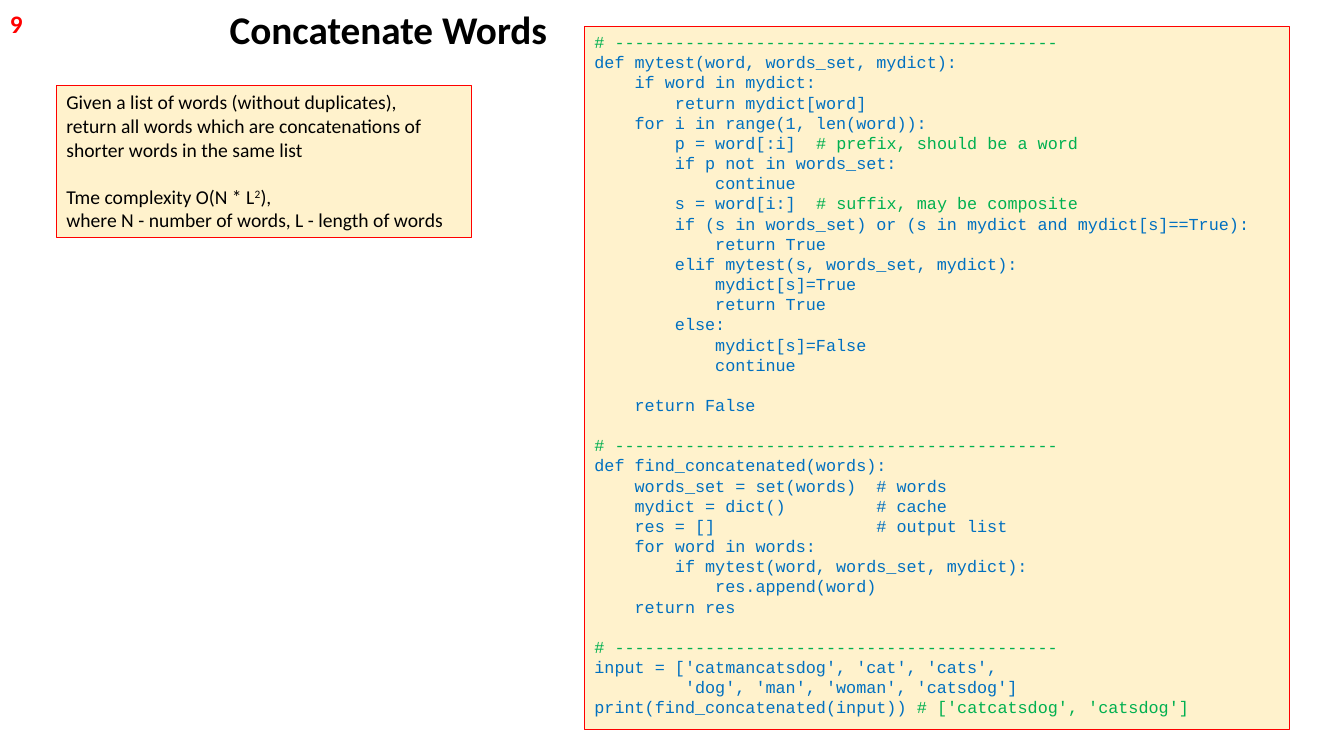
import pptx
import pptx.dml.color
import pptx.enum.shapes
import pptx.enum.text
import pptx.util

Pt = pptx.util.Pt
COLORS = {
    "black": "000000",
    "red": "FF0000",
    "panel": "FFF2CC",
    "code": "0070C0",
    "comment": "00B050",
}
RULE = "|# " + "-" * 44

# A bar starts a green comment; an empty line becomes space before the next one.
CODE = f"""{RULE}
def mytest(word, words_set, mydict):
    if word in mydict:
        return mydict[word]
    for i in range(1, len(word)):
        p = word[:i]  |# prefix, should be a word
        if p not in words_set:
            continue
        s = word[i:]  |# suffix, may be composite
        if (s in words_set) or (s in mydict and mydict[s]==True):
            return True
        elif mytest(s, words_set, mydict):
            mydict[s]=True
            return True
        else:
            mydict[s]=False
            continue

    return False

{RULE}
def find_concatenated(words):
    words_set = set(words)  # words
    mydict = dict()         # cache
    res = []                # output list
    for word in words:
        if mytest(word, words_set, mydict):
            res.append(word)
    return res

{RULE}
input = ['catmancatsdog', 'cat', 'cats',
         'dog', 'man', 'woman', 'catsdog']
print(find_concatenated(input)) |# ['catcatsdog', 'catsdog']"""

# A bar encloses a superscript.
NOTE = """Given a list of words (without duplicates),
return all words which are concatenations of
shorter words in the same list

Tme complexity O(N * L|2|),
where N - number of words, L - length of words"""


def rgb(name):
    return pptx.dml.color.RGBColor.from_string(COLORS[name])


def set_font(paragraph, name, size, color, bold=False):
    paragraph.font.name = name
    paragraph.font.size = Pt(size)
    paragraph.font.bold = bold
    paragraph.font.color.rgb = rgb(color)


def add_label(slide, box, text, size, color, wrap):
    """Bold single-line heading text."""
    shape = slide.shapes.add_textbox(*map(Pt, box))
    shape.text_frame.word_wrap = wrap
    paragraph = shape.text_frame.paragraphs[0]
    paragraph.text = text
    set_font(paragraph, "Calibri", size, color, bold=True)


def add_panel(slide, box, text, font, size, color, pitch, style_marked):
    """Framed panel; style_marked formats each run that follows an odd bar."""
    shape = slide.shapes.add_shape(
        pptx.enum.shapes.MSO_SHAPE.RECTANGLE, *map(Pt, box))
    shape.shadow.inherit = False
    shape.fill.solid()
    shape.fill.fore_color.rgb = rgb("panel")
    shape.line.color.rgb = rgb("red")
    shape.line.width = Pt(0.75)

    frame = shape.text_frame
    frame.word_wrap = True
    frame.vertical_anchor = pptx.enum.text.MSO_ANCHOR.TOP
    paragraph = frame.paragraphs[0]
    gap = 0
    for index, line in enumerate(text.split("\n")):
        if not line:
            gap += pitch
            continue
        if index:
            paragraph = frame.add_paragraph()
        paragraph.alignment = pptx.enum.text.PP_ALIGN.LEFT
        paragraph.line_spacing = Pt(pitch)
        paragraph.space_before = Pt(gap)
        gap = 0
        set_font(paragraph, font, size, color)
        for position, part in enumerate(line.split("|")):
            if part:
                run = paragraph.add_run()
                run.text = part
                if position % 2:
                    style_marked(run)


def color_comment(run):
    run.font.color.rgb = rgb("comment")


def raise_text(run):
    run._r.get_or_add_rPr().set("baseline", "30000")


def main():
    presentation = pptx.Presentation()
    presentation.slide_width = Pt(960)
    presentation.slide_height = Pt(540)
    slide = presentation.slides.add_slide(presentation.slide_layouts[6])

    # Heading and slide number
    add_label(slide, (157, 0, 272, 41), "Concatenate Words", 28, "black", True)
    # Code and task description
    add_panel(slide, (417.5, 19.2, 503.5, 502), CODE,
              "Courier New", 12, "code", 14.4, color_comment)
    add_panel(slide, (40.3, 61, 296.6, 109), NOTE,
              "Calibri", 14, "black", 16.8, raise_text)
    add_label(slide, (0, 2.2, 24, 29), "9", 18, "red", False)

    presentation.save("out.pptx")


if __name__ == "__main__":
    main()
